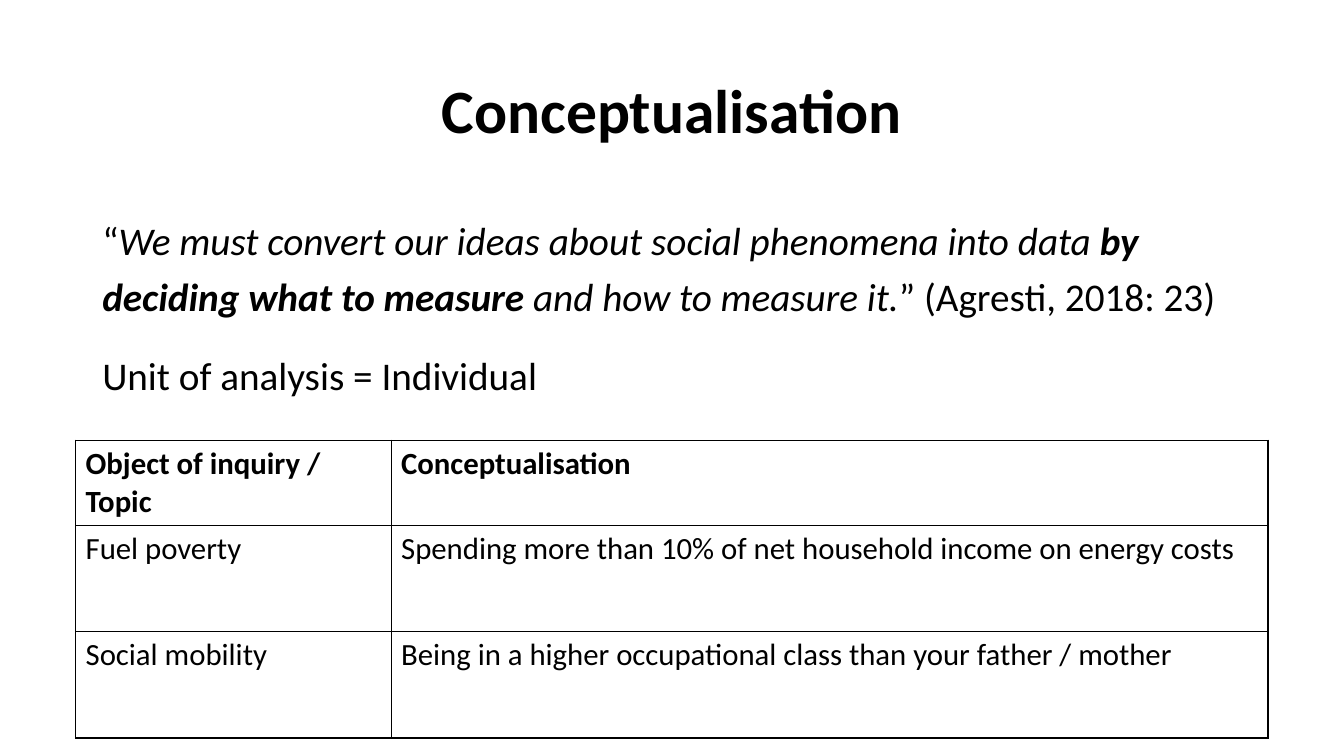
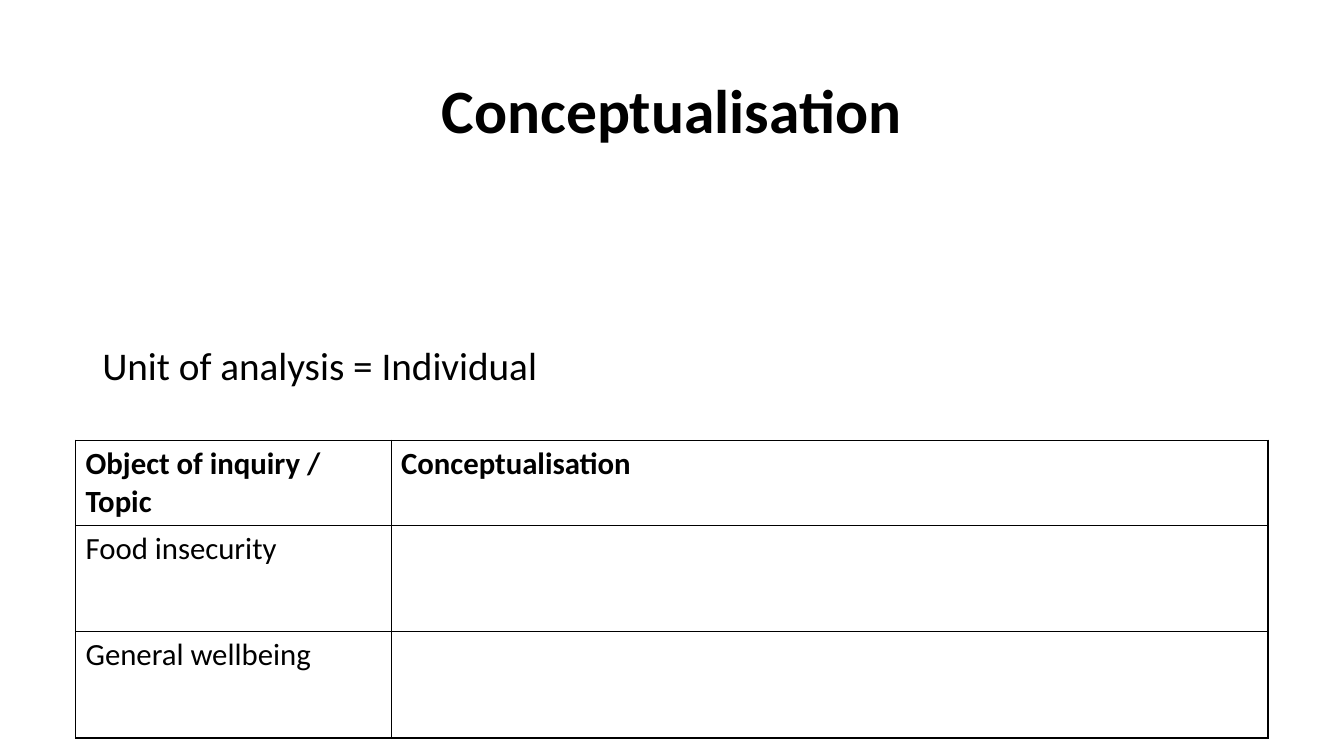
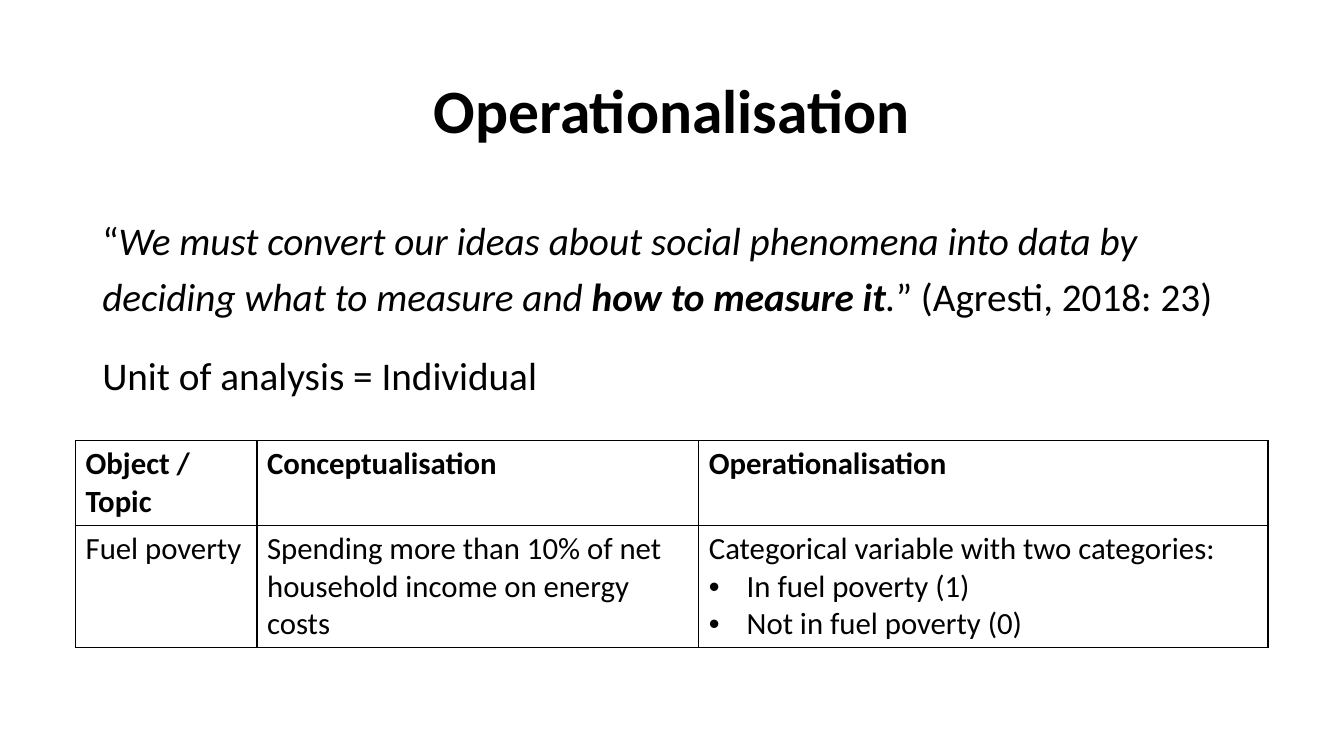
from lxml import etree
from pptx import Presentation
from pptx.dml.color import RGBColor
from pptx.enum.text import MSO_ANCHOR, MSO_AUTO_SIZE, PP_ALIGN
from pptx.oxml.ns import qn
from pptx.util import Pt

MIDDLE = MSO_ANCHOR.MIDDLE
NO_FIT = MSO_AUTO_SIZE.NONE
CENTER = PP_ALIGN.CENTER
TITLE_ONLY = 5

COLORS = {"ink": "000000", "paper": "FFFFFF"}
FONT = "Calibri"
SIZES = {"title": 44, "body": 28, "cell": 22}
LEFT, WIDTH = 66, 828
BODY_TOP, BODY_END = 144, 486.72
GRID_LEFT, GRID_TOP = 54, 314.5
HEAD_ROW = 60.7
INDENT = 27


class Deck:
    """Holds the shared style and the current slide."""

    def __init__(self):
        self.prs = Presentation()
        self.prs.slide_width, self.prs.slide_height = Pt(960), Pt(540)
        self.slide = None

    def style(self, run, size, bold=False, italic=False):
        font = run.font
        font.name, font.size = FONT, Pt(SIZES[size])
        font.bold, font.italic = bold, italic
        font.color.rgb = RGBColor.from_string(COLORS["ink"])

    def page(self, title):
        self.slide = self.prs.slides.add_slide(self.prs.slide_layouts[TITLE_ONLY])
        fill = self.slide.background.fill
        fill.solid()
        fill.fore_color.rgb = RGBColor.from_string(COLORS["paper"])
        shape = self.slide.shapes.title
        shape.left, shape.top = Pt(LEFT), Pt(28.8)
        shape.width, shape.height = Pt(WIDTH), Pt(104.4)
        frame = shape.text_frame
        frame.text = title
        frame.auto_size, frame.vertical_anchor = NO_FIT, MIDDLE
        para = frame.paragraphs[0]
        para.alignment, para.line_spacing = CENTER, 0.9
        self.style(para.runs[0], "title", bold=True)

    def body(self, paras, top=BODY_TOP):
        """Each paragraph is a list of (text, marks); marks hold b and i."""
        box = self.slide.shapes.add_textbox(
            Pt(LEFT), Pt(top), Pt(WIDTH), Pt(BODY_END - top))
        frame = box.text_frame
        frame.word_wrap = True
        for n, parts in enumerate(paras):
            para = frame.add_paragraph() if n else frame.paragraphs[0]
            para.line_spacing = 1.2
            para.space_before, para.space_after = Pt(10), Pt(6)
            for text, marks in parts:
                run = para.add_run()
                run.text = text
                self.style(run, "body", "b" in marks, "i" in marks)

    def grid(self, widths, rows, depth):
        """The first row is the header; the others are depth points high."""
        heights = [HEAD_ROW] + [depth] * (len(rows) - 1)
        table = self.slide.shapes.add_table(
            len(rows), len(widths), Pt(GRID_LEFT), Pt(GRID_TOP),
            Pt(sum(widths)), Pt(sum(heights))).table
        table.first_row = table.horz_banding = False
        for col, width in zip(table.columns, widths):
            col.width = Pt(width)
        for r, row in enumerate(rows):
            table.rows[r].height = Pt(heights[r])
            for c, text in enumerate(row):
                self.cell(table.cell(r, c), text, bold=r == 0)

    def cell(self, cell, text, bold):
        cell.fill.background()
        self.border(cell)
        cell.text_frame.text = text
        for para in cell.text_frame.paragraphs:
            if para.text.startswith("•"):
                para.text = para.text.lstrip("• ")
                self.bullet(para)
            for run in para.runs:
                self.style(run, "cell", bold)

    def border(self, cell):
        props = cell._tc.get_or_add_tcPr()
        for n, side in enumerate(("lnL", "lnR", "lnT", "lnB")):
            line = etree.Element(qn("a:" + side), w=str(Pt(1)))
            fill = etree.SubElement(line, qn("a:solidFill"))
            etree.SubElement(fill, qn("a:srgbClr"), val=COLORS["ink"])
            props.insert(n, line)

    def bullet(self, para):
        props = para._p.get_or_add_pPr()
        props.set("marL", str(Pt(INDENT)))
        props.set("indent", str(-Pt(INDENT)))
        etree.SubElement(props, qn("a:buFont"), typeface="Arial")
        etree.SubElement(props, qn("a:buChar"), char="•")


def main():
    deck = Deck()
    unit = [("Unit of analysis = Individual", "")]
    source = ("” (Agresti, 2018: 23)", "")
    fuel = ("Fuel poverty",
            "Spending more than 10% of net household income on energy costs")
    topic = ("Object of inquiry / Topic", "Conceptualisation")
    halves = (225.4, 626.4)

    # Conceptualisation: worked examples
    deck.page("Conceptualisation")
    deck.body([[
        ("“", ""),
        ("We must convert our ideas about social phenomena into data ", "i"),
        ("by deciding what to measure", "bi"),
        (" and how to measure it.", "i"),
        source], unit])
    deck.grid(halves, [
        topic, fuel,
        ("Social mobility",
         "Being in a higher occupational class than your father / mother"),
    ], 76)

    # Conceptualisation: exercise
    deck.page("Conceptualisation")
    deck.body([unit], top=233.6)
    deck.grid(halves, [
        topic, ("Food insecurity", ""), ("General wellbeing", "")], 76)

    # Operationalisation
    deck.page("Operationalisation")
    deck.body([[
        ("“", ""),
        ("We must convert our ideas about social phenomena into data by "
         "deciding what to measure and ", "i"),
        ("how to measure it", "bi"),
        (".", "i"),
        source], unit])
    deck.grid((129.6, 315.6, 406.6), [
        ("Object / Topic", "Conceptualisation", "Operationalisation"),
        fuel + ("Categorical variable with two categories:\n"
                "• In fuel poverty (1)\n• Not in fuel poverty (0)",),
    ], 87.5)

    deck.prs.save("out.pptx")


if __name__ == "__main__":
    main()
